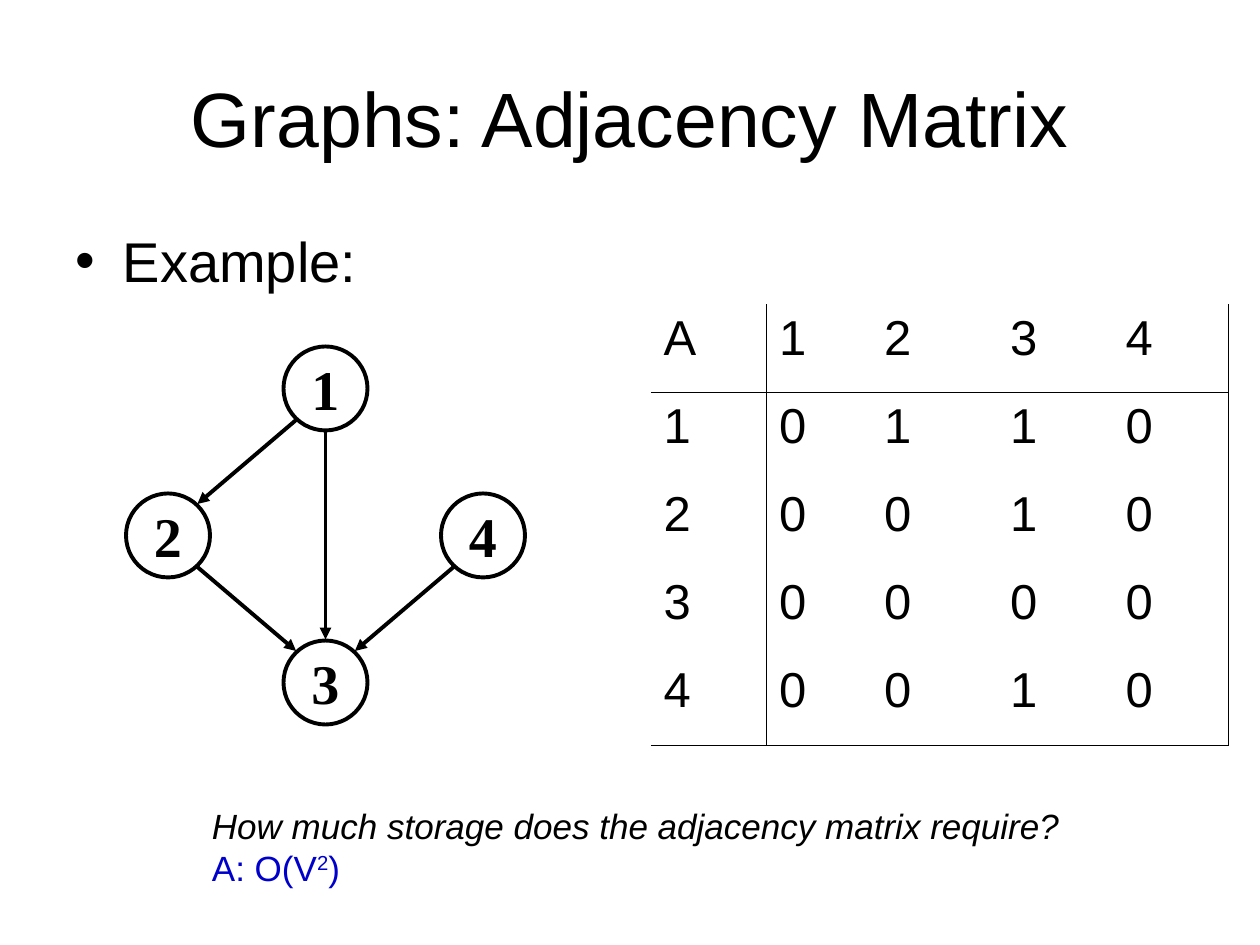
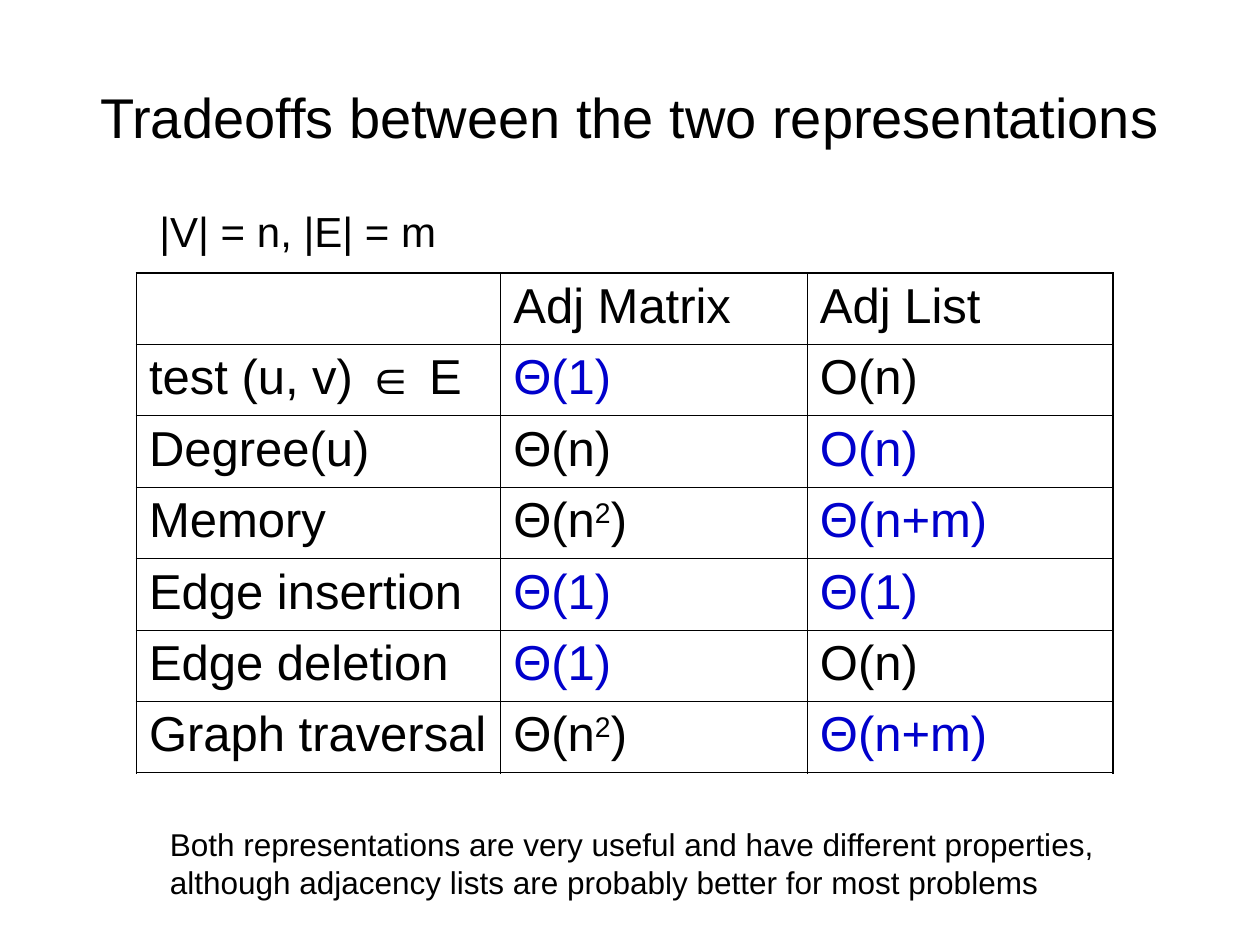
from pptx import Presentation
from pptx.dml.color import RGBColor
from pptx.enum.shapes import MSO_CONNECTOR, MSO_SHAPE
from pptx.enum.text import MSO_ANCHOR, PP_ALIGN
from pptx.oxml.ns import qn
from pptx.util import Pt
from lxml import etree

PX = 7620  # 120 px to the inch
COLORS = {"ink": "000000", "best": "0000CC"}
SANS, SERIF = "Arial", "Times New Roman"
NO_STYLE = "{2D5ABB26-0587-4C30-8999-92F81FD0307C}"
OVAL, LINE = MSO_SHAPE.OVAL, MSO_CONNECTOR.STRAIGHT
MIDDLE, CENTER = MSO_ANCHOR.MIDDLE, PP_ALIGN.CENTER
THIN, EDGE, STROKE = Pt(0.45), Pt(1.08), Pt(2.25)


def write(para, text, size, color="ink", face=SANS, bold=False, italic=False):
    """Fill a paragraph; text between two carets is raised."""
    for i, part in enumerate(text.split("^")):
        run = para.add_run()
        run.text = part
        font = run.font
        font.name, font.size, font.bold, font.italic = face, Pt(size), bold, italic
        font.color.rgb = RGBColor.from_string(COLORS[color])
        if i % 2:
            run._r.get_or_add_rPr().set("baseline", "30000")


def add_grid(slide, left, top, widths, height, rows, across, down):
    """Add a table ruled at the given row and column lines; "*" marks the best."""
    m, n = len(rows), len(widths)
    frame = slide.shapes.add_table(m, n, left * PX, top * PX,
                                   sum(widths) * PX, m * height * PX)
    table = frame.table
    table.first_row = table.horz_banding = False
    table._tbl.tblPr.find(qn("a:tableStyleId")).text = NO_STYLE
    for col, width in zip(table.columns, widths):
        col.width = width * PX
    for r, row in enumerate(rows):
        table.rows[r].height = height * PX
        for c, text in enumerate(row):
            cell = table.cell(r, c)
            cell.fill.background()
            para = cell.text_frame.paragraphs[0]
            para.space_before = Pt(7)
            if text:
                write(para, text.strip("*"), 28, "best" if "*" in text else "ink")
            sides = [("a:lnL", c, n, down), ("a:lnR", c + 1, n, down),
                     ("a:lnT", r, m, across), ("a:lnB", r + 1, m, across)]
            props = cell._tc.get_or_add_tcPr()
            for i, (tag, at, last, ruled) in enumerate(sides):
                line = etree.Element(qn(tag))
                props.insert(i, line)
                if at in ruled:
                    line.set("w", str(EDGE if at in (0, last) else THIN))
                    fill = etree.SubElement(line, qn("a:solidFill"))
                    etree.SubElement(fill, qn("a:srgbClr"), val=COLORS["ink"])
                else:
                    etree.SubElement(line, qn("a:noFill"))


prs = Presentation()
prs.slide_width, prs.slide_height = 1200 * PX, 900 * PX

# Titles
slides = []
for layout, title, size in [(1, "Graphs: Adjacency Matrix", 44),
                            (5, "Tradeoffs between the two representations", 32)]:
    slide = prs.slides.add_slide(prs.slide_layouts[layout])
    head = slide.shapes.title
    head.left, head.top, head.width, head.height = [v * PX for v in (60, 36, 1080, 150)]
    head.text_frame.vertical_anchor = MIDDLE
    para = head.text_frame.paragraphs[0]
    para.alignment = CENTER
    write(para, title, size)
    slides.append(slide)
matrix, trade = slides

# Adjacency matrix: bullet
body = matrix.placeholders[1]
body.left, body.top, body.width, body.height = [v * PX for v in (60, 210, 1080, 594)]
para = body.text_frame.paragraphs[0]
para.space_before = Pt(8)
write(para, "Example:", 32)

# Adjacency matrix: directed graph
ink = RGBColor.from_string(COLORS["ink"])
RAD = 40
nodes = {"1": (310, 370), "2": (160, 510), "4": (460, 510), "3": (310, 650)}
for name, (x, y) in nodes.items():
    node = matrix.shapes.add_shape(OVAL, (x - RAD) * PX, (y - RAD) * PX,
                                   2 * RAD * PX, 2 * RAD * PX)
    node.shadow.inherit = False
    node.fill.background()
    node.line.color.rgb, node.line.width = ink, STROKE
    frame = node.text_frame
    frame.word_wrap, frame.vertical_anchor = False, MIDDLE
    frame.paragraphs[0].alignment = CENTER
    write(frame.paragraphs[0], name, 32, face=SERIF, bold=True)

for start, end in ["12", "23", "43", "13"]:
    (x1, y1), (x2, y2) = nodes[start], nodes[end]
    side = (x2 > x1) - (x2 < x1)
    dx, dy = (28 * side, 30) if side else (0, 41)
    edge = matrix.shapes.add_connector(LINE, (x1 + dx) * PX, (y1 + dy) * PX,
                                       (x2 - dx) * PX, (y2 - dy) * PX)
    edge.line.color.rgb, edge.line.width = ink, STROKE
    etree.SubElement(edge.line._get_or_add_ln(), qn("a:tailEnd"), type="triangle")
    etree.SubElement(edge._element.spPr, qn("a:effectLst"))

# Tables
add_grid(matrix, 620, 290, [110, 100, 120, 110, 110], 84,
         ["A1234", "10110", "20010", "30000", "40010"], across={1, 5}, down={1, 5})

costs = [
    ("", "Adj Matrix", "Adj List"),
    ("test (u, v) ∈ E", "*Θ(1)", "O(n)"),
    ("Degree(u)", "Θ(n)", "*O(n)"),
    ("Memory", "Θ(n^2^)", "*Θ(n+m)"),
    ("Edge insertion", "*Θ(1)", "*Θ(1)"),
    ("Edge deletion", "*Θ(1)", "O(n)"),
    ("Graph traversal", "Θ(n^2^)", "*Θ(n+m)"),
]
add_grid(trade, 130, 260, [347, 292, 291], 68, costs, across=range(8), down=range(4))

# Notes around the figures
notes = [
    (matrix, (190, 760, 920, 92), 20,
     [("How much storage does the adjacency matrix require?", "ink", True),
      ("A: O(V^2^)", "best", False)]),
    (trade, (140, 190, 288, 60), 24, [("|V| = n, |E| = m", "ink", False)]),
    (trade, (150, 780, 940, 84), 18,
     [("Both representations are very useful and have different properties, "
       "although adjacency lists are probably better for most problems", "ink", False)]),
]
for slide, box, size, lines in notes:
    frame = slide.shapes.add_textbox(*[v * PX for v in box]).text_frame
    frame.word_wrap = True
    for i, (text, color, italic) in enumerate(lines):
        para = frame.add_paragraph() if i else frame.paragraphs[0]
        write(para, text, size, color, italic=italic)

prs.save("out.pptx")
